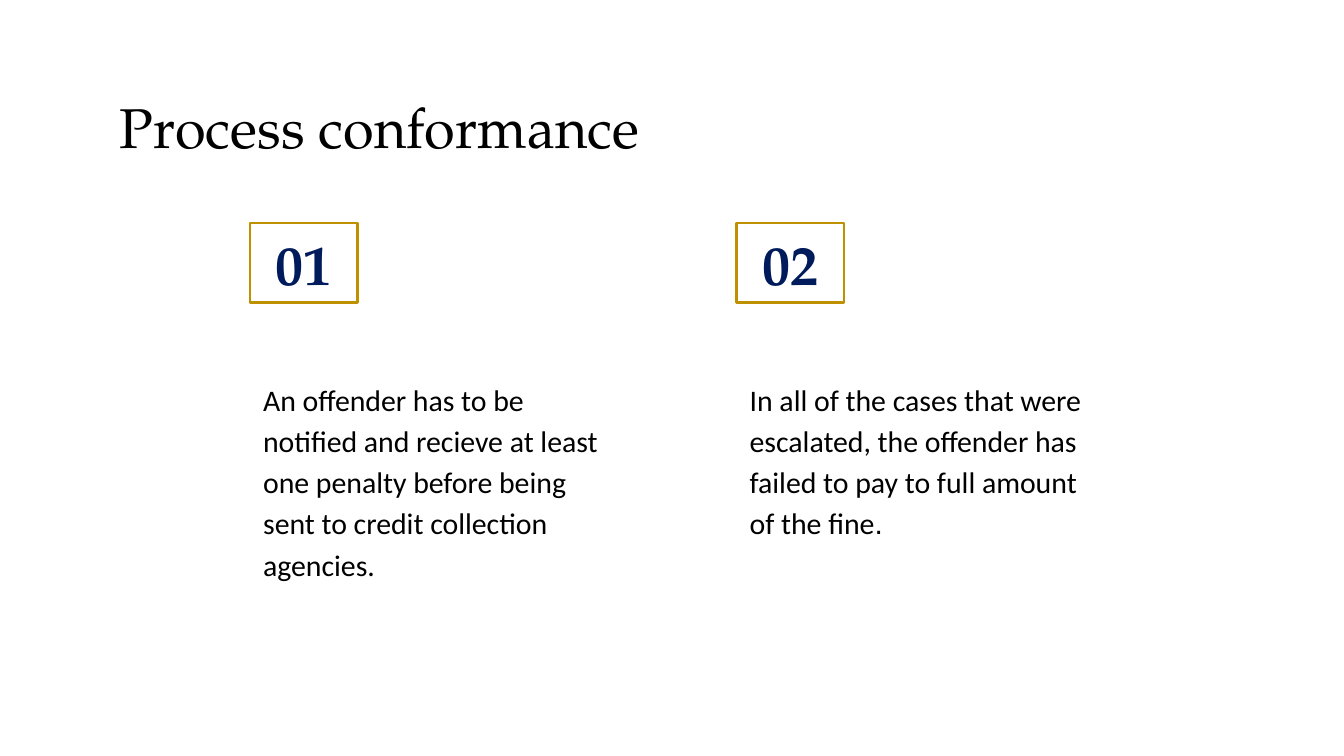
import pptx
import pptx.util
import pptx.dml.color
import pptx.enum.shapes
import pptx.enum.text

Inches = pptx.util.Inches
Pt = pptx.util.Pt
RGBColor = pptx.dml.color.RGBColor
ALIGN = pptx.enum.text.PP_ALIGN
ANCHOR = pptx.enum.text.MSO_ANCHOR

BLACK = RGBColor(0x00, 0x00, 0x00)
NAVY = RGBColor(0x00, 0x1B, 0x5C)
GOLD = RGBColor(0xBF, 0x90, 0x00)
SERIF = "TeX Gyre Pagella"


def write(shape, *runs, size=30, color=BLACK, bold=False,
          align=ALIGN.LEFT, anchor=ANCHOR.TOP, space=1.0):
    frame = shape.text_frame
    frame.word_wrap = True
    frame.vertical_anchor = anchor
    frame.margin_left = frame.margin_right = Inches(0.1)
    frame.margin_top = frame.margin_bottom = Inches(0.1)
    para = frame.paragraphs[0]
    para.alignment = align
    para.line_spacing = space
    for text, font in runs:
        run = para.add_run()
        run.text = text
        run.font.name = font
        run.font.size = Pt(size)
        run.font.bold = bold
        run.font.color.rgb = color


deck = pptx.Presentation()
deck.slide_width = Inches(10)
deck.slide_height = Inches(10 * 9 / 16)
slide = deck.slides.add_slide(deck.slide_layouts[6])
shapes = slide.shapes

title = shapes.add_textbox(Inches(0.79), Inches(0.59), Inches(8.43), Inches(0.63))
write(title, ("Process conformance", SERIF))

points = [
    [("An offender has to be notified and recieve at least one penalty "
      "before being sent to credit collection agencies.", "Calibri")],
    [("In all of the cases that were escalated, the offender has failed "
      "to pay to full amount of the fine", "Calibri"), (".", "Arial")],
]

for i, runs in enumerate(points):
    left = Inches(1.86 + 3.62 * i)

    body = shapes.add_textbox(left, Inches(2.7), Inches(2.83), Inches(1.6))
    write(body, *runs, size=16, space=1.15)

    badge = shapes.add_shape(pptx.enum.shapes.MSO_SHAPE.RECTANGLE,
                             left, Inches(1.66), Inches(0.8), Inches(0.59))
    badge.shadow.inherit = False
    badge.fill.background()
    badge.line.color.rgb = GOLD
    badge.line.width = Pt(1.5)
    write(badge, (f"{i + 1:02d}", SERIF), color=NAVY, bold=True,
          align=ALIGN.CENTER, anchor=ANCHOR.MIDDLE)

deck.save("out.pptx")
